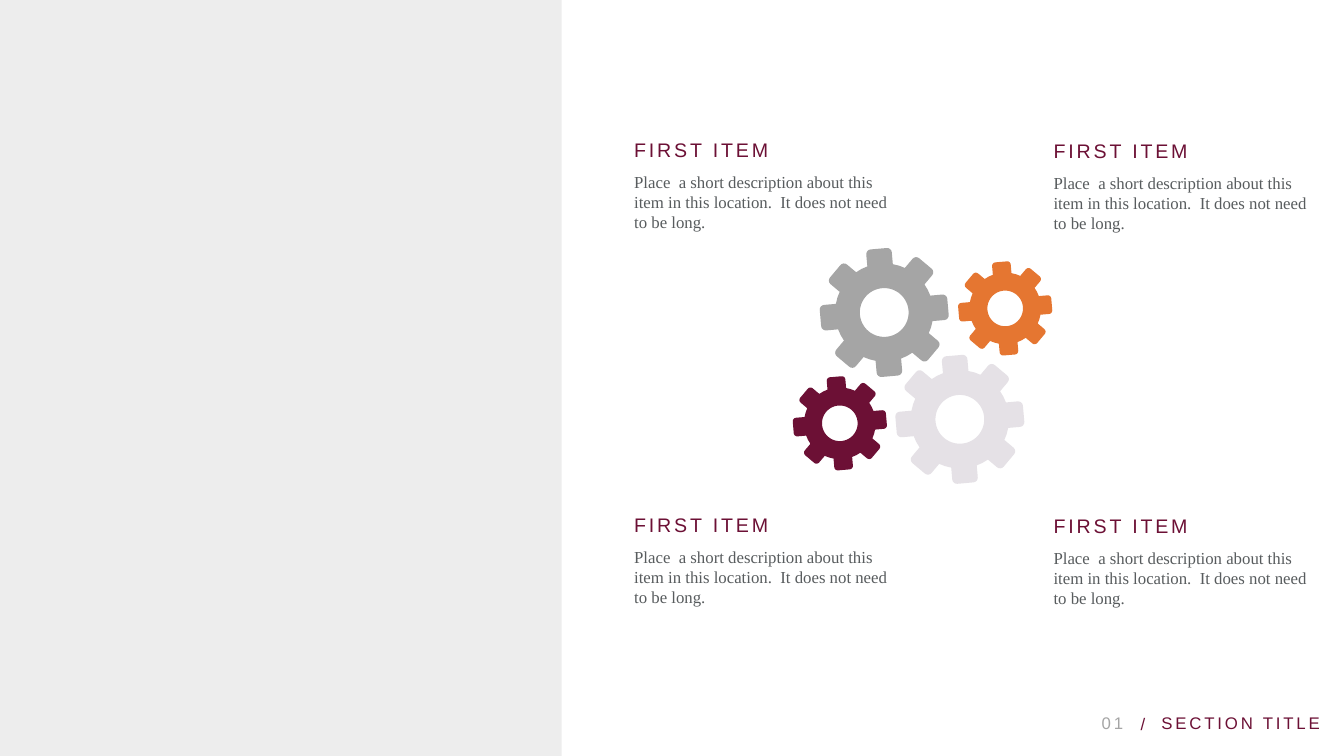
from math import cos, sin, pi, radians
from pptx import Presentation
from pptx.dml.color import RGBColor
from pptx.enum.shapes import MSO_SHAPE as SHAPE
from pptx.enum.text import MSO_ANCHOR as ANCHOR, MSO_AUTO_SIZE as AUTO, PP_ALIGN as ALIGN
from pptx.util import Inches, Pt

MAROON, ORANGE, GRAY, LILAC = "6C1035", "E57631", "A5A5A5", "E5E1E6"


def paint(s, color):
    s.shadow.inherit = False
    s.fill.solid()
    s.fill.fore_color.rgb = RGBColor.from_string(color)
    s.line.fill.background()


def add_text(shapes, box, text, size, font, color, spacing=0):
    tf = shapes.add_textbox(*map(Inches, box)).text_frame
    tf.word_wrap = True
    tf.margin_left = tf.margin_right = tf.margin_top = tf.margin_bottom = Inches(0.05)
    r = tf.paragraphs[0].add_run()
    r.text = text
    r.font.size, r.font.name = Pt(size), font
    r.font.color.rgb = RGBColor.from_string(color)
    if spacing:
        r.font._element.set("spc", str(spacing * 100))
    return tf


prs = Presentation()
prs.slide_width, prs.slide_height = Inches(13.33), Inches(7.5)
slide = prs.slides.add_slide(prs.slide_layouts[6])

# Left panel
panel = slide.shapes.add_shape(SHAPE.RECTANGLE, 0, 0, Inches(5.57), Inches(7.5))
paint(panel, "EDEDED")

# One tooth of a gear pointing up: (across, outward), with rounded corners
corner = [(0.08 + 0.047 * cos(i * pi / 8), 0.588 + 0.047 * sin(i * pi / 8)) for i in range(5)]
right_side = [(0.127, 0.47)] + corner
left_side = [(-u, v) for u, v in right_side]
valley = (0.487 * sin(pi / 8), 0.487 * cos(pi / 8))
tooth = left_side + right_side[::-1] + [valley]

# Eight teeth, tilted 5 degrees, and a hole wound the other way
outline = []
for k in range(8):
    a = radians(45 * k - 5)
    outline += [(u * cos(a) + v * sin(a), u * sin(a) - v * cos(a)) for u, v in tooth]
hole = [(0.242 * cos(i * pi / 36), -0.242 * sin(i * pi / 36)) for i in range(72)]

# Gears: centre, scale, colour
gears = slide.shapes.add_group_shape()
for cx, cy, scale, color in [
    (8.33, 4.2, 0.73, MAROON),
    (9.97, 3.06, 0.73, ORANGE),
    (8.77, 3.1, 1, GRAY),
    (9.52, 4.16, 1, LILAC),
]:
    rings = [[(Inches(cx + x * scale), Inches(cy + y * scale)) for x, y in ring]
             for ring in (outline, hole)]
    builder = gears.shapes.build_freeform(*rings[0][0])
    builder.add_line_segments(rings[0][1:])
    builder.move_to(*rings[1][0])
    builder.add_line_segments(rings[1][1:])
    paint(builder.convert_to_shape(), color)

# Four items, each a heading over a description
for left, top in [(6.24, 1.32), (6.24, 5.04), (10.4, 1.33), (10.4, 5.05)]:
    heading = add_text(slide.shapes, (left, top, 3.64, 0.34), "FIRST ITEM",
                       14, "Arial", MAROON, 2)
    body = add_text(slide.shapes, (left, top + 0.33, 2.74, 0.71),
                    "Place  a short description about this item in this location.  "
                    "It does not need to be long.", 12, "Times New Roman", "585C5E")
    heading.auto_size = body.auto_size = AUTO.SHAPE_TO_FIT_TEXT

# Footer
footer = slide.shapes.add_group_shape()
for left, top, width, text, color, align in [
    (11.47, 6.87, 3.44, "SECTION TITLE", MAROON, ALIGN.LEFT),
    (6.43, 6.87, 4.76, "01", GRAY, ALIGN.RIGHT),
    (11.14, 6.88, 0.27, "/", MAROON, ALIGN.RIGHT),
]:
    tf = add_text(footer.shapes, (left, top, width, 0.45), text, 12, "Arial", color, 2)
    tf.vertical_anchor = ANCHOR.BOTTOM
    p = tf.paragraphs[0]
    p.alignment, p.line_spacing = align, 0.9

prs.save("out.pptx")
